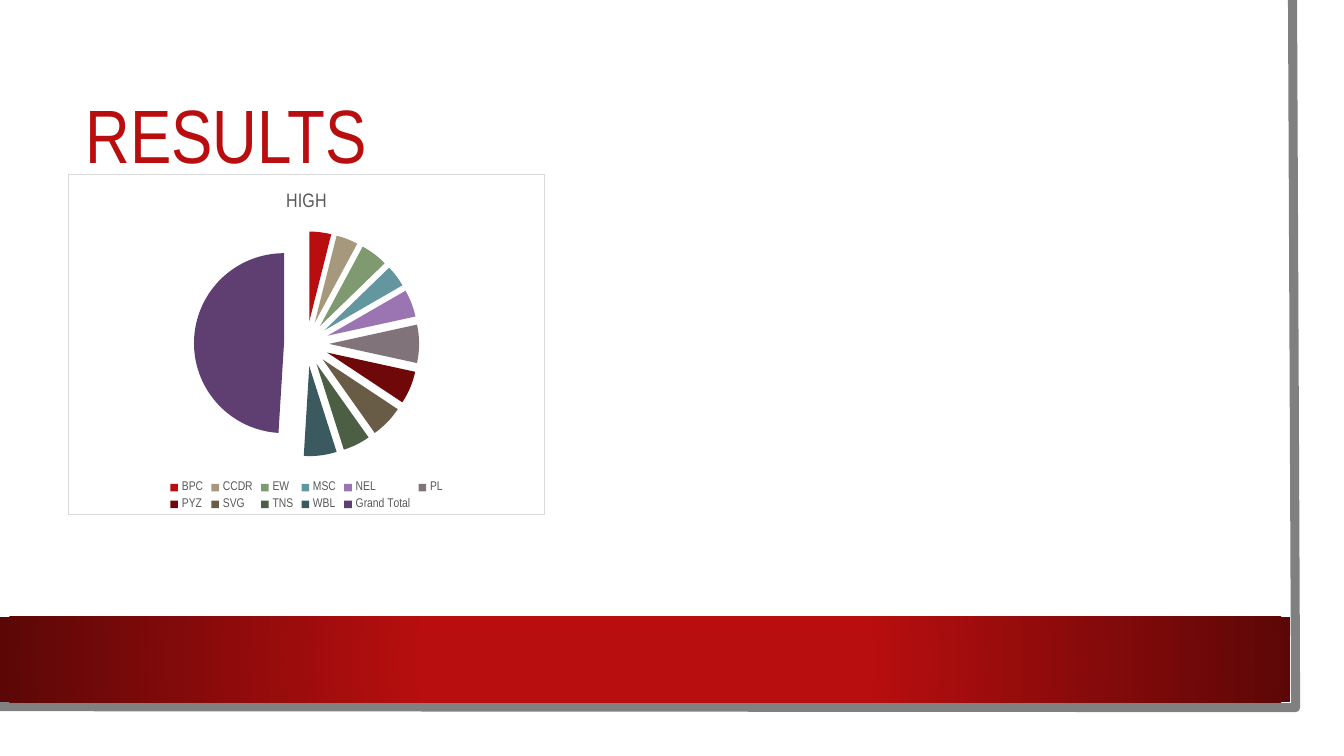
from dataclasses import dataclass
from typing import NamedTuple

from lxml.etree import SubElement
from pptx import Presentation
from pptx.chart.chart import Chart
from pptx.chart.data import CategoryChartData
from pptx.dml.color import RGBColor
from pptx.enum.chart import XL_CHART_TYPE as ChartType, XL_LEGEND_POSITION as LegendPosition
from pptx.enum.shapes import MSO_SHAPE as Preset
from pptx.enum.text import MSO_ANCHOR as Anchor
from pptx.oxml import parse_xml
from pptx.oxml.ns import nsdecls, qn
from pptx.shapes.autoshape import Shape
from pptx.slide import Slide
from pptx.text.text import Font
from pptx.util import Emu, Inches, Pt

SLIDE_WIDTH, SLIDE_HEIGHT = Inches(13.33), Inches(7.5)
EXPLOSION = 25


@dataclass(frozen=True)
class Theme:
    font: str = "Arial Narrow"
    paper: str = "FFFFFF"
    red: str = "B80E0F"
    dark_red: str = "5C0707"
    edge: str = "808080"
    chart_border: str = "D9D9D9"
    chart_text: str = "595959"
    black: str = "000000"
    title_size: float = 54
    chart_title_size: float = 14
    chart_size: float = 10
    legend_size: float = 9
    edge_width: float = 6.5
    border_width: float = 0.75


class Area(NamedTuple):
    """Percentages of the slide's width and height."""
    left: float
    top: float
    width: float
    height: float

    def box(self) -> tuple[Emu, Emu, Emu, Emu]:
        return (*point(self.left, self.top), *point(self.width, self.height))


class Slice(NamedTuple):
    label: str
    value: int
    color: str


THEME = Theme()
PAPER = Area(0, 0, 98.27, 96.93)
BAND = Area(0, 81.6, 96.02, 11.33)
TITLE = Area(5.63, 10, 85.3, 16.8)
CHART = Area(5.03, 23.07, 35.56, 45.07)
EDGE = [(96.17, 0), (96.4, 93.6), (-0.23, 93.47)]
SLICES = [
    Slice("BPC", 4, THEME.red),
    Slice("CCDR", 4, "A6987D"),
    Slice("EW", 5, "7F9A71"),
    Slice("MSC", 4, "64969F"),
    Slice("NEL", 5, "9B75B2"),
    Slice("PL", 7, "80737A"),
    Slice("PYZ", 6, "6E0809"),
    Slice("SVG", 6, "685C47"),
    Slice("TNS", 5, "4C5E43"),
    Slice("WBL", 6, "3B5A60"),
    Slice("Grand Total", 50, "5F3F72"),
]


def point(across: float, down: float) -> tuple[Emu, Emu]:
    return Emu(round(SLIDE_WIDTH * across / 100)), Emu(round(SLIDE_HEIGHT * down / 100))


def rgb(color: str) -> RGBColor:
    return RGBColor.from_string(color)


def style_font(font: Font, size: float, color: str) -> None:
    font.name = THEME.font
    font.size = Pt(size)
    font.bold = False
    font.color.rgb = rgb(color)


def add_panel(slide: Slide, area: Area, color: str) -> Shape:
    panel = slide.shapes.add_shape(Preset.RECTANGLE, *area.box())
    panel.shadow.inherit = False
    panel.fill.solid()
    panel.fill.fore_color.rgb = rgb(color)
    panel.line.fill.background()
    return panel


def add_band(slide: Slide) -> None:
    properties = add_panel(slide, BAND, THEME.red)._element.spPr
    stops = "".join(
        f'<a:gs pos="{share * 1000}"><a:srgbClr val="{color}"/></a:gs>'
        for share, color in ((34, THEME.red), (100, THEME.dark_red))
    )
    gradient = parse_xml(
        f'<a:gradFill {nsdecls("a")} rotWithShape="1"><a:gsLst>{stops}</a:gsLst>'
        '<a:path path="circle"><a:fillToRect l="50000" t="50000" r="50000" b="50000"/>'
        "</a:path></a:gradFill>"
    )
    properties.replace(properties.find(qn("a:solidFill")), gradient)


def add_edge(slide: Slide) -> None:
    start, *corners = [point(*corner) for corner in EDGE]
    builder = slide.shapes.build_freeform(*start)
    builder.add_line_segments(corners, close=False)
    edge = builder.convert_to_shape()
    edge.shadow.inherit = False
    edge.fill.background()
    edge.line.color.rgb = rgb(THEME.edge)
    edge.line.width = Pt(THEME.edge_width)


def add_text(slide: Slide, text: str, area: Area, *, size: float, color: str,
             anchor: Anchor = Anchor.MIDDLE, line_spacing: float = 0.9) -> None:
    frame = slide.shapes.add_textbox(*area.box()).text_frame
    frame.word_wrap = True
    frame.vertical_anchor = anchor
    paragraph = frame.paragraphs[0]
    paragraph.line_spacing = line_spacing
    run = paragraph.add_run()
    run.text = text
    style_font(run.font, size, color)


def frame_chart(chart: Chart) -> None:
    border = round(Pt(THEME.border_width))
    properties = parse_xml(
        f'<c:spPr {nsdecls("c", "a")}>'
        f'<a:solidFill><a:srgbClr val="{THEME.paper}"/></a:solidFill>'
        f'<a:ln w="{border}"><a:solidFill><a:srgbClr val="{THEME.chart_border}"/>'
        "</a:solidFill></a:ln></c:spPr>"
    )
    chart._chartSpace.find(qn("c:chart")).addnext(properties)


def explode_before(element) -> None:
    explosion = SubElement(element.getparent(), qn("c:explosion"), val=str(EXPLOSION))
    element.addprevious(explosion)


def add_pie(slide: Slide, name: str) -> None:
    data = CategoryChartData()
    data.categories = [part.label for part in SLICES]
    data.add_series(name, [part.value for part in SLICES])
    chart = slide.shapes.add_chart(ChartType.PIE, *CHART.box(), data).chart
    style_font(chart.font, THEME.chart_size, THEME.black)
    frame_chart(chart)

    chart.has_title = True
    heading = chart.chart_title.text_frame.paragraphs[0].add_run()
    heading.text = name
    style_font(heading.font, THEME.chart_title_size, THEME.chart_text)
    chart.chart_title.include_in_layout = False

    chart.has_legend = True
    chart.legend.position = LegendPosition.BOTTOM
    chart.legend.include_in_layout = False
    style_font(chart.legend.font, THEME.legend_size, THEME.chart_text)

    pie = chart.plots[0]
    pie.vary_by_categories = True
    series = pie.series[0]
    for index, part in enumerate(SLICES):
        piece = series.points[index].format
        piece.fill.solid()
        piece.fill.fore_color.rgb = rgb(part.color)
        piece.line.fill.background()
    pieces = series._element.findall(qn("c:dPt"))
    for piece in pieces:
        explode_before(piece.find(qn("c:spPr")))
    explode_before(pieces[0])


def main() -> None:
    deck = Presentation()
    deck.slide_width, deck.slide_height = SLIDE_WIDTH, SLIDE_HEIGHT
    slide = deck.slides.add_slide(deck.slide_layouts[6])
    add_panel(slide, PAPER, THEME.paper)
    add_edge(slide)
    add_band(slide)
    add_text(slide, "RESULTS", TITLE, size=THEME.title_size, color=THEME.red)
    add_pie(slide, "HIGH")
    deck.save("out.pptx")


if __name__ == "__main__":
    main()
